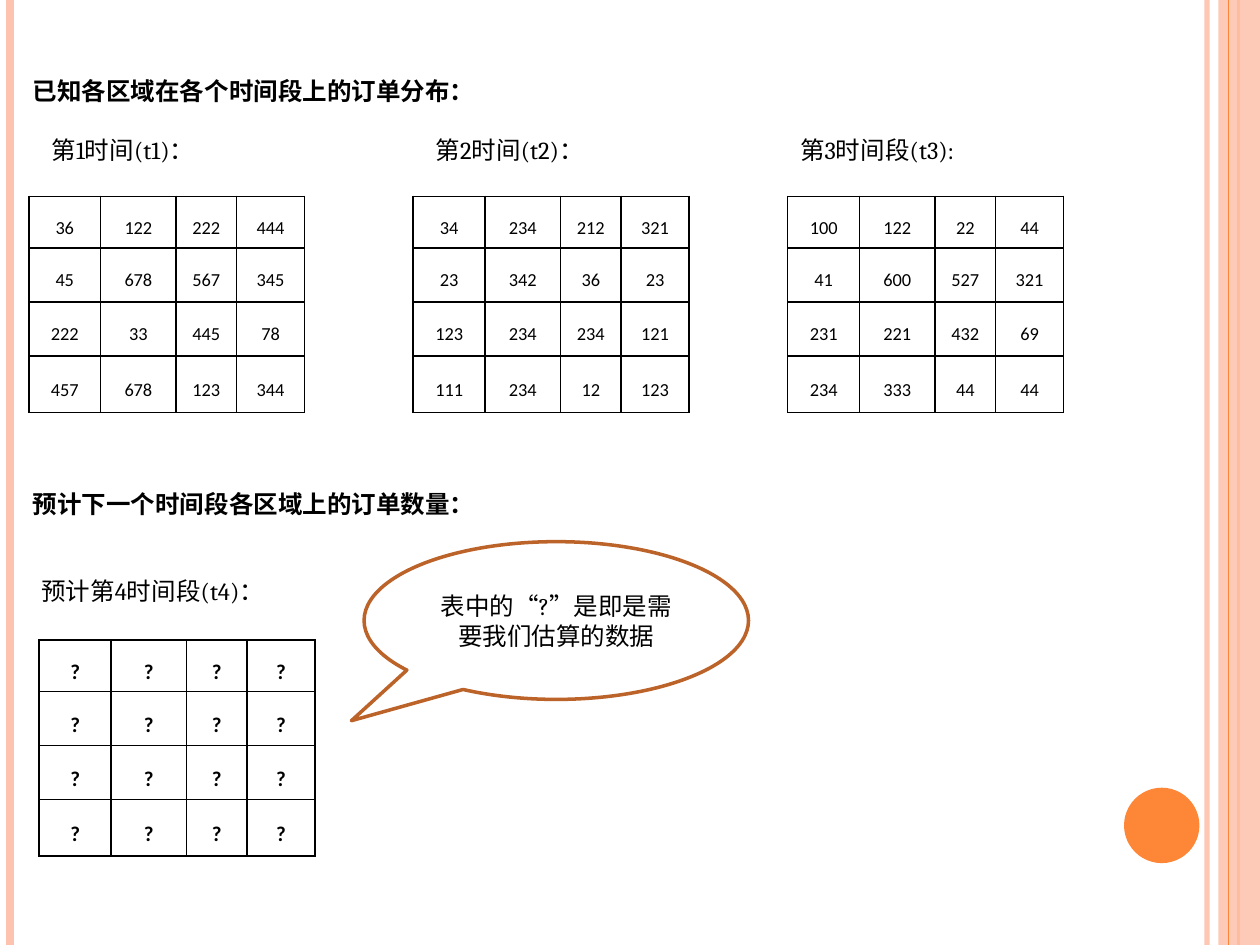
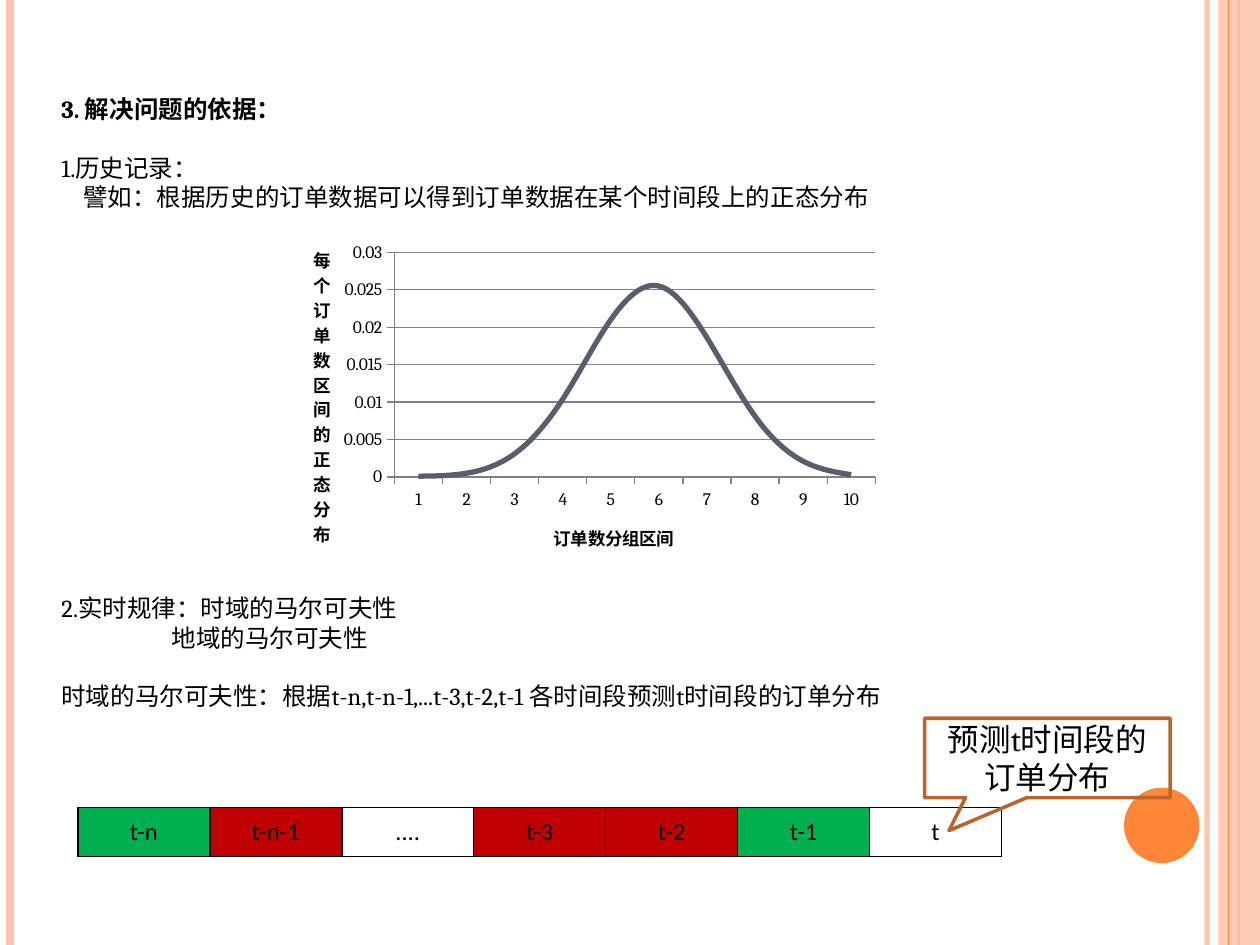
from dataclasses import dataclass
from typing import Any

from lxml import etree
from pptx import Presentation
from pptx.chart.data import CategoryChartData
from pptx.dml.color import RGBColor
from pptx.enum.chart import XL_CHART_TYPE, XL_MARKER_STYLE, XL_TICK_MARK
from pptx.enum.shapes import MSO_CONNECTOR, MSO_SHAPE
from pptx.enum.text import MSO_ANCHOR, PP_ALIGN
from pptx.oxml.ns import qn
from pptx.util import Cm, Pt

BLANK = 6
RECT = MSO_SHAPE.RECTANGLE
OVAL = MSO_SHAPE.OVAL
ROUND_CALL = MSO_SHAPE.OVAL_CALLOUT
BOX_CALL = MSO_SHAPE.RECTANGULAR_CALLOUT
STRAIGHT = MSO_CONNECTOR.STRAIGHT
LINE = XL_CHART_TYPE.LINE
PLAIN = XL_MARKER_STYLE.NONE
OUT = XL_TICK_MARK.OUTSIDE
MID = MSO_ANCHOR.MIDDLE
CENTER = PP_ALIGN.CENTER


@dataclass(frozen=True)
class Theme:
    ink: str = "000000"
    peach: str = "FEC3AE"
    orange: str = "FE8637"
    rust: str = "BC6329"
    slate: str = "575F6D"
    gray: str = "808080"
    green: str = "00B050"
    red: str = "C00000"
    serif: str = "Cambria"
    sans: str = "Calibri"
    tick: float = 10
    num: float = 10.5
    mark: float = 12
    body: float = 14
    large: float = 18


THEME = Theme()
WIDE, HIGH = 25.4, 19.05
COLS = (1.45, 1.52, 1.22, 1.37)
ROWS = (1.04, 1.09, 1.09, 1.14)


@dataclass(frozen=True)
class Rule:
    x: float
    color: str
    width: float
    alpha: int = 100


@dataclass(frozen=True)
class Note:
    x: float
    y: float
    w: float
    lines: tuple[str, ...]
    bold: bool = False
    indent: float = 0


@dataclass(frozen=True)
class Grid:
    x: float
    y: float
    cells: tuple[tuple[Any, ...], ...]
    size: float = THEME.num
    bold: bool = False
    cols: tuple[float, ...] = COLS
    rows: tuple[float, ...] = ROWS
    fills: tuple[str, ...] = ("",) * 4
    space: float = 1.5


@dataclass(frozen=True)
class Bubble:
    kind: Any
    box: tuple[float, float, float, float]
    tip: tuple[float, float]
    text: str
    size: float


BACK = (Rule(24.33, THEME.peach, 3, 93), Rule(0.2, THEME.peach, 4.5),
        Rule(24.97, THEME.orange, 1.5))
FRONT = Rule(24.77, THEME.orange, 0.75)

ORDERS = (
    Grid(0.58, 3.96, ((36, 122, 222, 444), (45, 678, 567, 345),
                      (222, 33, 445, 78), (457, 678, 123, 344))),
    Grid(8.33, 3.96, ((34, 234, 212, 321), (23, 342, 36, 23),
                      (123, 234, 234, 121), (111, 234, 12, 123))),
    Grid(15.88, 3.96, ((100, 122, 22, 44), (41, 600, 527, 321),
                       (231, 221, 432, 69), (234, 333, 44, 44))),
    Grid(0.79, 12.9, (("?",) * 4,) * 4, THEME.mark, True),
)
HEADS = (
    Note(0.41, 1.4, 12.5, ("已知各区域在各个时间段上的订单分布：",), True),
    Note(0.79, 2.59, 5.16, ("第1时间(t1)：",)),
    Note(8.53, 2.59, 4.57, ("第2时间(t2)：",)),
    Note(15.88, 2.59, 6.15, ("第3时间段(t3):",)),
    Note(0.41, 9.73, 12.12, ("预计下一个时间段各区域上的订单数量：",), True),
    Note(0.58, 11.48, 6.93, ("预计第4时间段(t4)：",)),
)
GUESS = Bubble(ROUND_CALL, (7.34, 10.92, 7.75, 3.18), (-0.533, 0.635),
               "表中的“?”是即是需要我们估算的数据", THEME.body)

LEFT, SPAN = 0.99, 23.01
BASIS = (
    Note(LEFT, 1.78, SPAN, ("3. 解决问题的依据：",), True),
    Note(LEFT, 2.96, SPAN, (
        "1.历史记录：",
        "譬如：根据历史的订单数据可以得到订单数据在某个时间段上的正态分布"), indent=0.44),
    Note(LEFT, 11.84, SPAN, ("2.实时规律：时域的马尔可夫性", "地域的马尔可夫性"), indent=2.22),
    Note(LEFT, 13.61, SPAN, (
        "时域的马尔可夫性：根据t-n,t-n-1,...t-3,t-2,t-1 各时间段预测t时间段的订单分布",)),
)
CHAIN = Grid(1.57, 16.28, (("t-n", "t-n-1", "....", "t-3", "t-2", "t-1", "t"),),
             THEME.body, cols=(2.66,) * 7, rows=(0.99,), space=1,
             fills=(THEME.green, THEME.red, "", THEME.red, THEME.red, THEME.green, ""))
NEXT = Bubble(BOX_CALL, (18.64, 14.48, 4.95, 1.6), (-0.401, 0.916),
              "预测t时间段的订单分布", THEME.large)
CURVE = (0.0001, 0.0005, 0.0031, 0.0104, 0.021, 0.0255, 0.0186, 0.0081, 0.0021, 0.0003)


def put(item: Any, form: dict[str, Any]) -> None:
    for name, value in form.items():
        setattr(item, name, value)


def tint(color: str) -> RGBColor:
    return RGBColor.from_string(color)


def ink(font: Any, size: float, bold: bool = False, face: str = THEME.serif) -> None:
    put(font, {"size": Pt(size), "bold": bold, "name": face})
    font.color.rgb = tint(THEME.ink)


def stroke(line: Any, color: str, width: float) -> None:
    line.color.rgb = tint(color)
    line.width = Pt(width)


def paint(fill: Any, color: str) -> None:
    if color:
        fill.solid()
        fill.fore_color.rgb = tint(color)
    else:
        fill.background()


def fade(shape: Any, alpha: int) -> None:
    for node in shape._element.spPr.iter(qn("a:srgbClr")):
        etree.SubElement(node, qn("a:alpha"), val=str(alpha * 1000))


def add_rule(slide: Any, rule: Rule) -> None:
    line = slide.shapes.add_connector(STRAIGHT, Cm(rule.x), 0, Cm(rule.x), Cm(HIGH))
    stroke(line.line, rule.color, rule.width)
    etree.SubElement(line._element.spPr, qn("a:effectLst"))
    if rule.alpha < 100:
        fade(line, rule.alpha)


def add_form(slide: Any, kind: Any, box: tuple[float, ...], color: str = "") -> Any:
    shape = slide.shapes.add_shape(kind, *map(Cm, box))
    shape.shadow.inherit = False
    paint(shape.fill, color)
    shape.line.fill.background()
    return shape


def add_frame(slide: Any) -> None:
    for rule in BACK:
        add_rule(slide, rule)
    fade(add_form(slide, RECT, (24.56, 0, 0.84, HIGH), THEME.peach), 87)
    add_rule(slide, FRONT)
    add_form(slide, OVAL, (22.66, 15.88, 1.52, 1.52), THEME.orange)


def add_note(slide: Any, note: Note) -> None:
    box = slide.shapes.add_textbox(Cm(note.x), Cm(note.y), Cm(note.w),
                                   Cm(0.27 + 0.59 * len(note.lines)))
    frame = box.text_frame
    put(frame, {"word_wrap": True, "text": "\n".join(note.lines)})
    for para in frame.paragraphs:
        ink(para.runs[0].font, THEME.body, note.bold)
    if note.indent:
        frame.paragraphs[-1]._p.get_or_add_pPr().set("marL", str(Cm(note.indent)))


def add_edges(cell: Any) -> None:
    props = cell._tc.get_or_add_tcPr()
    for spot, side in enumerate("LRTB"):
        edge = etree.Element(qn(f"a:ln{side}"), w=str(Pt(1)))
        fill = etree.SubElement(edge, qn("a:solidFill"))
        etree.SubElement(fill, qn("a:srgbClr"), val=THEME.ink)
        props.insert(spot, edge)


def add_grid(slide: Any, grid: Grid) -> None:
    table = slide.shapes.add_table(
        len(grid.rows), len(grid.cols), Cm(grid.x), Cm(grid.y),
        Cm(sum(grid.cols)), Cm(sum(grid.rows))).table
    put(table, {"first_row": False, "horz_banding": False})
    for col, width in zip(table.columns, grid.cols):
        col.width = Cm(width)
    for row, height, values in zip(table.rows, grid.rows, grid.cells):
        row.height = Cm(height)
        for cell, value, color in zip(row.cells, values, grid.fills):
            put(cell, {"text": str(value), "vertical_anchor": MID,
                       "margin_left": Cm(0.18), "margin_right": Cm(0.18),
                       "margin_top": 0, "margin_bottom": 0})
            para = cell.text_frame.paragraphs[0]
            put(para, {"alignment": CENTER, "line_spacing": grid.space})
            ink(para.runs[0].font, grid.size, grid.bold, THEME.sans)
            paint(cell.fill, color)
            add_edges(cell)


def add_bubble(slide: Any, item: Bubble) -> None:
    shape = add_form(slide, item.kind, item.box)
    stroke(shape.line, THEME.rust, 2)
    for spot, value in enumerate(item.tip):
        shape.adjustments[spot] = value
    put(shape.text_frame, {"word_wrap": True, "vertical_anchor": MID, "text": item.text})
    para = shape.text_frame.paragraphs[0]
    para.alignment = CENTER
    ink(para.runs[0].font, item.size)


def place(node: Any, spot: int, form: dict[str, Any]) -> None:
    for old in node.findall(qn("c:layout")):
        node.remove(old)
    layout = etree.Element(qn("c:layout"))
    manual = etree.SubElement(layout, qn("c:manualLayout"))
    for name, value in form.items():
        etree.SubElement(manual, qn(f"c:{name}"), val=str(value))
    node.insert(spot, layout)


def add_curve(slide: Any) -> None:
    data = CategoryChartData()
    data.categories = [str(n) for n in range(1, len(CURVE) + 1)]
    data.add_series("Series 1", CURVE)
    chart = slide.shapes.add_chart(LINE, Cm(5.77), Cm(4.75), Cm(12.12), Cm(6.76), data).chart
    put(chart, {"has_legend": False, "has_title": False})
    ink(chart.font, THEME.tick)
    chart.plots[0].vary_by_categories = False
    line = chart.plots[0].series[0]
    line.smooth = True
    line.marker.style = PLAIN
    stroke(line.format.line, THEME.slate, 3)
    low, side = chart.category_axis, chart.value_axis
    put(side, {"minimum_scale": 0, "maximum_scale": 0.03, "major_unit": 0.005,
               "has_major_gridlines": True})
    put(side.tick_labels, {"number_format": "General", "number_format_is_linked": False})
    stroke(side.major_gridlines.format.line, THEME.gray, 0.75)
    for axis, text, x, y in ((low, "订单数分组区间", 0.44, 0.85),
                             (side, "每个订单数区间的正态分布", 0.04, 0.02)):
        put(axis, {"major_tick_mark": OUT, "has_title": True})
        stroke(axis.format.line, THEME.gray, 0.75)
        title = axis.axis_title
        title.text_frame.text = text
        ink(title.text_frame.paragraphs[0].runs[0].font, THEME.tick, True)
        place(title._element, 1, {"xMode": "edge", "yMode": "edge", "x": x, "y": y})
    body = side.axis_title.text_frame._txBody.find(qn("a:bodyPr"))
    body.set("rot", "0")
    body.set("vert", "wordArtVert")
    place(chart._chartSpace.chart.plotArea, 0, {
        "layoutTarget": "inner", "xMode": "edge", "yMode": "edge",
        "x": 0.18, "y": 0.05, "w": 0.8, "h": 0.67})


def main() -> None:
    deck = Presentation()
    put(deck, {"slide_width": Cm(WIDE), "slide_height": Cm(HIGH)})
    pages = ((HEADS, ORDERS, GUESS), (BASIS, (CHAIN,), NEXT))
    for notes, grids, bubble in pages:
        slide = deck.slides.add_slide(deck.slide_layouts[BLANK])
        add_frame(slide)
        for note in notes:
            add_note(slide, note)
        for grid in grids:
            add_grid(slide, grid)
        add_bubble(slide, bubble)
    add_curve(slide)
    deck.save("out.pptx")


if __name__ == "__main__":
    main()
